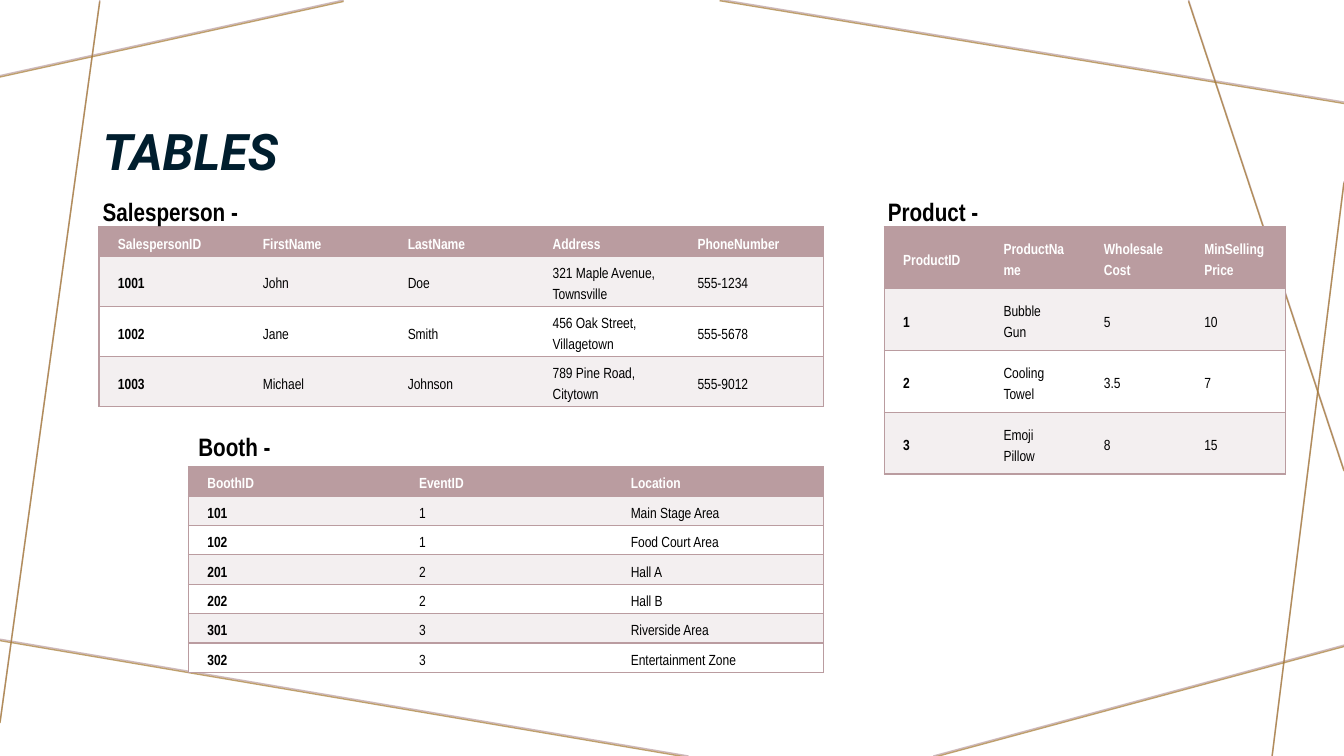
import dataclasses

import pptx
import pptx.dml.color
import pptx.enum.shapes
import pptx.enum.text
import pptx.oxml
import pptx.oxml.ns
import pptx.util

Pt = pptx.util.Pt
qn = pptx.oxml.ns.qn
ANCHOR = pptx.enum.text.MSO_ANCHOR

ROSE, GOLD, NAVY = "BA9CA0", "A57931", "001E2E"
PALE, WHITE, BLACK = "F3EFF0", "FFFFFF", "000000"
NARROW = "Arial Narrow"


@dataclasses.dataclass
class Label:
    text: str
    left: float
    top: float
    width: float
    height: float = 29
    size: float = 18
    font: str = NARROW
    color: str = BLACK
    italic: bool = False


@dataclasses.dataclass
class Grid:
    left: float
    top: float
    width: float
    head: float  # header row height
    body: float  # height of every other row
    rows: list[list[str]]


# Ends of the background lines: x1, y1, x2, y2
RAYS = [
    (245.5, 0, 0, 54),
    (71.3, 0, 0, 515.5),
    (491.8, 540, -3.6, 456),
    (960, 460.8, 666.7, 540),
    (960, 129.6, 908.6, 540),
    (960, 335.5, 849, 0),
    (960, 72.9, 514, -0.5),
]

LABELS = [
    Label("TABLES", 66.2, 28.8, 813.6, 104.4, 36, "Roboto", NAVY, True),
    Label("Salesperson -", 66.2, 136.8, 195),
    Label("Product -", 627.1, 136.8, 116),
    Label("Booth -", 134.6, 304.6, 156),
]

GRIDS = [
    Grid(134.6, 333.4, 453.6, 21, 21, [
        ["BoothID", "EventID", "Location"],
        ["101", "1", "Main Stage Area"],
        ["102", "1", "Food Court Area"],
        ["201", "2", "Hall A"],
        ["202", "2", "Hall B"],
        ["301", "3", "Riverside Area"],
        ["302", "3", "Entertainment Zone"],
    ]),
    Grid(631.6, 162.2, 286.8, 44.1, 44.1, [
        ["ProductID", "ProductName", "WholesaleCost", "MinSellingPrice"],
        ["1", "Bubble Gun", "5", "10"],
        ["2", "Cooling Towel", "3.5", "7"],
        ["3", "Emoji Pillow", "8", "15"],
    ]),
    Grid(70.7, 162.2, 517.5, 21, 35.8, [
        ["SalespersonID", "FirstName", "LastName", "Address", "PhoneNumber"],
        ["1001", "John", "Doe", "321 Maple Avenue, Townsville", "555-1234"],
        ["1002", "Jane", "Smith", "456 Oak Street, Villagetown", "555-5678"],
        ["1003", "Michael", "Johnson", "789 Pine Road, Citytown", "555-9012"],
    ]),
]


def rgb(code: str) -> pptx.dml.color.RGBColor:
    return pptx.dml.color.RGBColor.from_string(code)


def sub(parent, tag: str, **attrs: str):
    """Append a child element to parent and return it."""
    child = pptx.oxml.ns and parent.makeelement(qn(tag), attrs)
    parent.append(child)
    return child


def style(par, font: str, size: float, color: str, bold: bool) -> None:
    for run in par.runs:
        run.font.name = font
        run.font.size = Pt(size)
        run.font.bold = bold
        run.font.color.rgb = rgb(color)


def draw_ray(shapes, ends: tuple, color: str, drop: float) -> None:
    x1, y1, x2, y2 = ends
    kind = pptx.enum.shapes.MSO_CONNECTOR.STRAIGHT
    ray = shapes.add_connector(kind, Pt(x1), Pt(y1 + drop), Pt(x2), Pt(y2 + drop))
    ray.line.width = Pt(1)
    ray.line.color.rgb = rgb(color)
    tint = next(ray._element.spPr.iter(qn("a:srgbClr")))
    sub(tint, "a:alpha", val="70000")
    sub(ray._element.spPr, "a:effectLst")


def draw_label(shapes, label: Label) -> None:
    box = shapes.add_textbox(
        Pt(label.left), Pt(label.top), Pt(label.width), Pt(label.height))
    frame = box.text_frame
    frame.word_wrap = True
    frame.text = label.text
    par = frame.paragraphs[0]
    style(par, label.font, label.size, label.color, True)
    if label.italic:
        frame.vertical_anchor = ANCHOR.BOTTOM
        par.line_spacing = 0.9
        par.runs[0].font.italic = True


def edge(cell, sides: str) -> None:
    """Rule the named sides of a cell and clear the others."""
    props = cell._tc.get_or_add_tcPr()
    for side in "LRTB":
        line = sub(props, f"a:ln{side}", w=str(Pt(1)))
        if side in sides:
            sub(sub(line, "a:solidFill"), "a:srgbClr", val=ROSE)
        else:
            sub(line, "a:noFill")


def fill_cell(cell, text: str, row: int, col: int, last: int) -> None:
    cell.margin_left = cell.margin_right = Pt(13.6)
    cell.margin_top = cell.margin_bottom = Pt(2.9)
    cell.vertical_anchor = ANCHOR.MIDDLE
    edge(cell, "TB" + "L" * (col == 0) + "R" * (col == last))
    cell.fill.solid()
    cell.fill.fore_color.rgb = rgb(ROSE if row == 0 else PALE if row % 2 else WHITE)
    cell.text_frame.text = text
    par = cell.text_frame.paragraphs[0]
    par.line_spacing = Pt(15)
    style(par, NARROW, 10.5, BLACK if row else WHITE, row == 0 or col == 0)


def draw_grid(shapes, grid: Grid) -> None:
    count, cols = len(grid.rows), len(grid.rows[0])
    high = grid.head + grid.body * (count - 1)
    table = shapes.add_table(
        count, cols, Pt(grid.left), Pt(grid.top), Pt(grid.width), Pt(high)).table
    for col in table.columns:
        col.width = Pt(grid.width / cols)
    for r, texts in enumerate(grid.rows):
        table.rows[r].height = Pt(grid.body if r else grid.head)
        for c, text in enumerate(texts):
            fill_cell(table.cell(r, c), text, r, c, cols - 1)


def main() -> None:
    deck = pptx.Presentation()
    deck.slide_width, deck.slide_height = Pt(960), Pt(540)
    shapes = deck.slides.add_slide(deck.slide_layouts[6]).shapes
    for color, drop in ((ROSE, 0), (GOLD, 1)):
        for ends in RAYS:
            draw_ray(shapes, ends, color, drop)
    for grid in GRIDS:
        draw_grid(shapes, grid)
    for label in LABELS:
        draw_label(shapes, label)
    deck.save("out.pptx")


if __name__ == "__main__":
    main()
